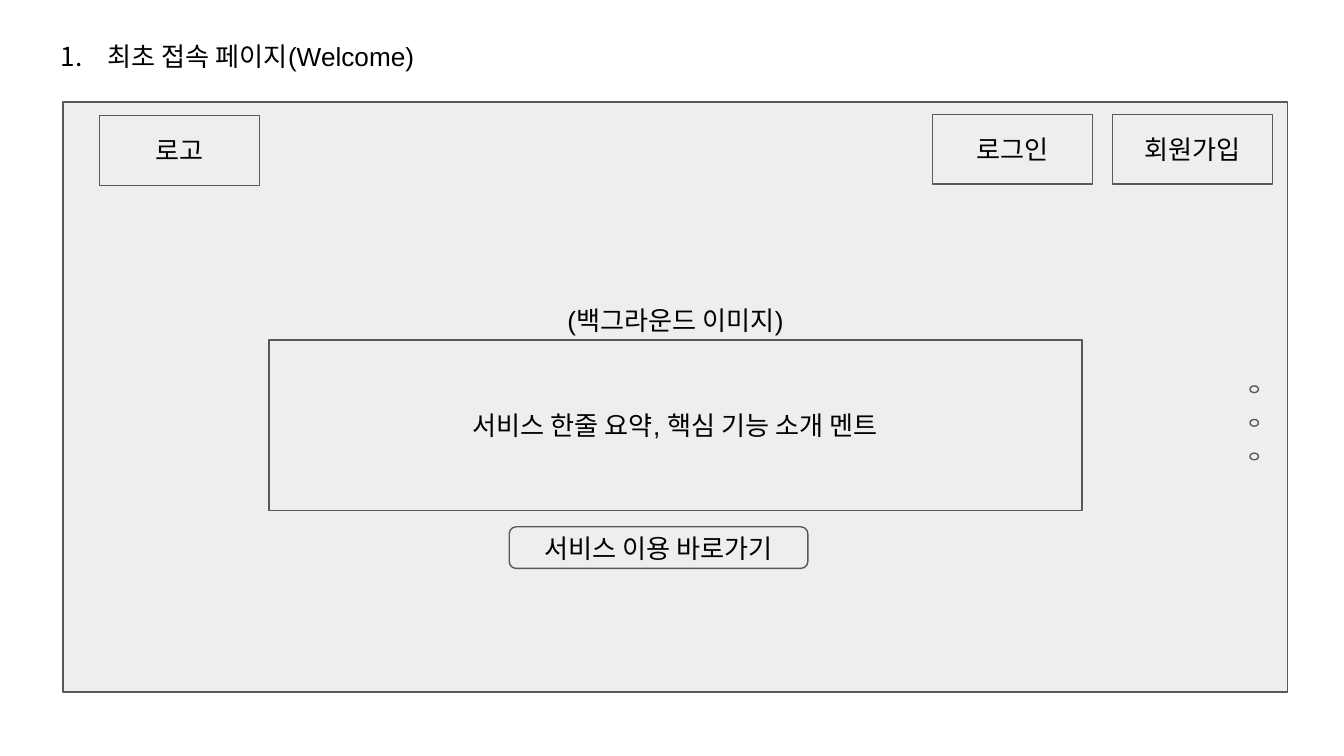
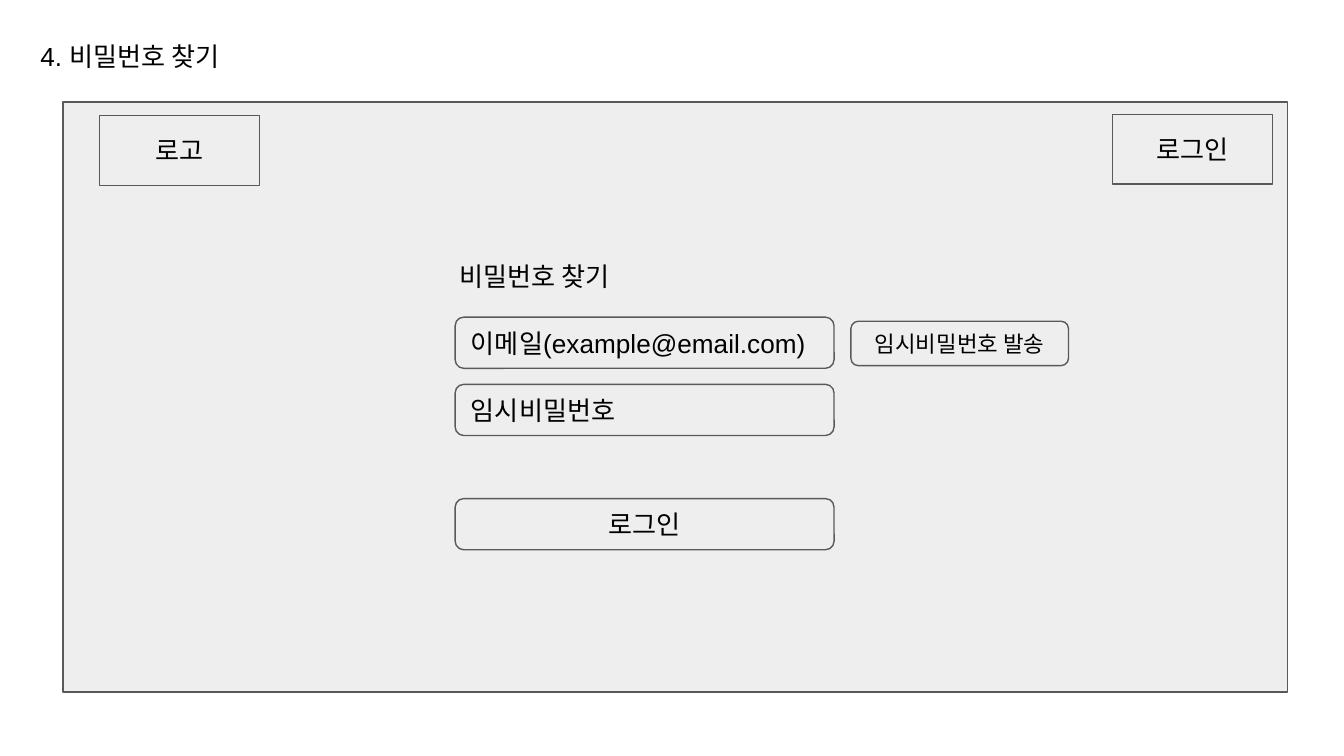
from collections import namedtuple

from lxml.etree import SubElement
from pptx import Presentation
from pptx.dml.color import RGBColor
from pptx.enum.shapes import MSO_SHAPE
from pptx.enum.text import MSO_ANCHOR, MSO_AUTO_SIZE, PP_ALIGN
from pptx.oxml.ns import qn
from pptx.util import Pt

COLORS = {"page": "FFFFFF", "fill": "EEEEEE", "line": "595959", "text": "000000"}
FONT = "Arial"
PAD = 7.2
Box = namedtuple("Box", "x y w h")
PANEL = Box(33.84, 54.72, 656, 316)
NAV = Box(8, 6.5, 85.7, 37.4)  # x is the margin to the panel's right edge
NAV_STEP = 96.5
FIELD = Box(210, 115.2, 203, 27.4)


def color(name):
    return RGBColor.from_string(COLORS[name])


def inside(box, x, y, w, h):
    """Return a box offset from the corner of another."""
    return Box(box.x + x, box.y + y, w, h)


def place(shape, box):
    shape.left, shape.top, shape.width, shape.height = map(Pt, box)


def write(shape, text, size=14, align=PP_ALIGN.CENTER, anchor=MSO_ANCHOR.MIDDLE,
          fit=MSO_AUTO_SIZE.NONE, bottom=PAD):
    frame = shape.text_frame
    frame.word_wrap = True
    frame.auto_size = fit
    frame.vertical_anchor = anchor
    frame.margin_left = frame.margin_top = frame.margin_right = Pt(PAD)
    frame.margin_bottom = Pt(bottom)
    para = frame.paragraphs[0]
    para.alignment = align
    run = para.add_run()
    run.text = text
    run.font.name = FONT
    run.font.size = Pt(size)
    run.font.color.rgb = color("text")


def label(shape, text):
    write(shape, text, align=PP_ALIGN.LEFT, anchor=MSO_ANCHOR.TOP,
          fit=MSO_AUTO_SIZE.SHAPE_TO_FIT_TEXT)


def draw(slide, box, text="", kind=MSO_SHAPE.RECTANGLE, **form):
    shape = slide.shapes.add_shape(kind, *map(Pt, box))
    shape.shadow.inherit = False
    shape.fill.solid()
    shape.fill.fore_color.rgb = color("fill")
    shape.line.color.rgb = color("line")
    shape.line.width = Pt(0.75)
    if text:
        write(shape, text, **form)


def button(slide, box, text, **form):
    draw(slide, box, text, MSO_SHAPE.ROUNDED_RECTANGLE, **form)


def number(para):
    """Turn a paragraph into an automatically numbered item."""
    props = para._p.get_or_add_pPr()
    props.set("marL", str(Pt(36)))
    props.set("indent", str(-Pt(25)))
    tint = SubElement(props, qn("a:buClr"))
    SubElement(tint, qn("a:srgbClr"), val=COLORS["text"])
    SubElement(props, qn("a:buAutoNum"), type="arabicPeriod")


def page(deck, title, width, nav, caption=""):
    """Add a slide with its title, panel, logo box and right-aligned nav."""
    slide = deck.slides.add_slide(deck.slide_layouts[5])
    slide.background.fill.solid()
    slide.background.fill.fore_color.rgb = color("page")
    head = slide.shapes.title
    place(head, Box(14.4, 14.4, width, 31.7))
    label(head, title)
    draw(slide, PANEL, caption, bottom=90)
    draw(slide, inside(PANEL, 19.4, 7.2, NAV.w, NAV.h), "로고")
    for i, text in enumerate(reversed(nav)):
        left = PANEL.w - NAV.x - NAV.w - i * NAV_STEP
        draw(slide, inside(PANEL, left, NAV.y, NAV.w, NAV.h), text)
    return slide


def welcome(deck, box):
    slide = page(deck, "최초 접속 페이지(Welcome)", 239, ["로그인", "회원가입"],
                 "(백그라운드 이미지)")
    number(slide.shapes.title.text_frame.paragraphs[0])
    draw(slide, inside(box, 110.2, 127.4, 435.6, 91.4),
         "서비스 한줄 요약, 핵심 기능 소개 멘트")
    button(slide, inside(box, 239, 227.5, 160, 22.3), "서비스 이용 바로가기")
    for i in range(3):
        draw(slide, inside(box, 635.8, 152 + 18 * i, 4.6, 3.6), kind=MSO_SHAPE.OVAL)


def reset(deck, box):
    slide = page(deck, "4. 비밀번호 찾기", 124.6, ["로그인"])
    place_at = inside(box, 205.2, 77.8, 129, 31.7)
    label(slide.shapes.add_textbox(*map(Pt, place_at)), "비밀번호 찾기")
    fields = [
        ("이메일(example@email.com)", 0, PP_ALIGN.LEFT),
        ("임시비밀번호", 36, PP_ALIGN.LEFT),
        ("로그인", 97.2, PP_ALIGN.CENTER),
    ]
    for text, drop, align in fields:
        spot = inside(box, FIELD.x, FIELD.y + drop, FIELD.w, FIELD.h)
        button(slide, spot, text, align=align)
    button(slide, inside(box, 422, 117.4, 116.6, 23.8), "임시비밀번호 발송", size=12)


def main():
    deck = Presentation()
    deck.slide_width, deck.slide_height = Pt(720), Pt(405)
    welcome(deck, PANEL)
    reset(deck, PANEL)
    deck.save("out.pptx")


if __name__ == "__main__":
    main()
